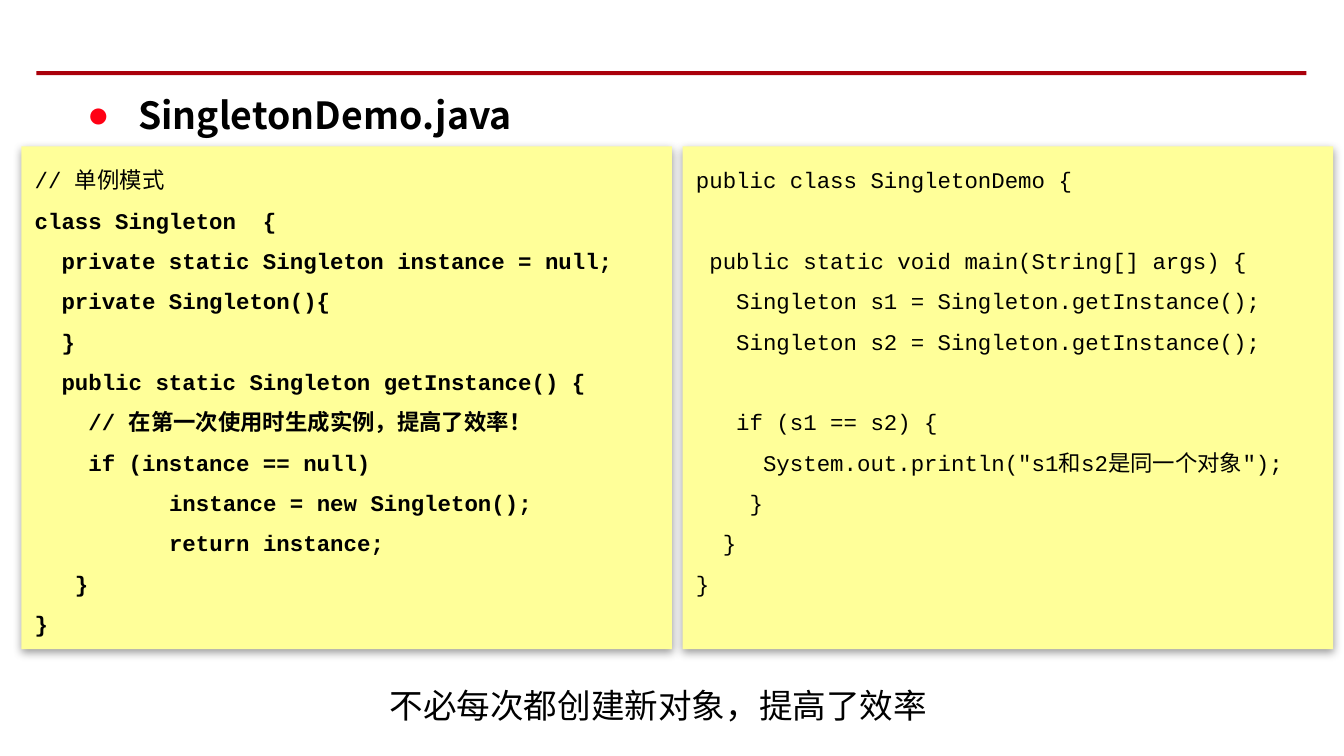
from dataclasses import dataclass

from lxml import etree
from pptx import Presentation
from pptx import util as u
from pptx.dml.color import RGBColor
from pptx.enum import shapes, text
from pptx.oxml import ns


@dataclass(frozen=True)
class Theme:
    """Colours, fonts and type sizes of the slide."""
    rule: str = "AA000B"
    bullet: str = "FF0014"
    panel: str = "FFFF99"
    ink: str = "000000"
    title_font: str = "Noto Sans CJK SC"
    code_font: str = "Courier New"
    note_font: str = "Calibri"
    title_size: int = 20
    code_size: int = 12
    note_size: int = 18


THEME = Theme()

SINGLETON_CODE = """// 单例模式
class Singleton  {
  private static Singleton instance = null;
  private Singleton(){
  }
  public static Singleton getInstance() {
    // 在第一次使用时生成实例，提高了效率！
    if (instance == null)
\tinstance = new Singleton();
\treturn instance;
   }
}"""

DEMO_CODE = """public class SingletonDemo {

 public static void main(String[] args) {
   Singleton s1 = Singleton.getInstance();
   Singleton s2 = Singleton.getInstance();

   if (s1 == s2) {
     System.out.println("s1和s2是同一个对象");
    }
  }
}"""


def add_child(parent, tag, **attributes):
    """Append a DrawingML element to a parent and return it."""
    return etree.SubElement(parent, ns.qn(tag), attributes)


def write_text(paragraph, content, font, size, bold=False, spacing=1.0):
    """Write one formatted line into a paragraph."""
    paragraph.alignment = text.PP_ALIGN.LEFT
    paragraph.line_spacing = spacing
    if not content:
        add_child(paragraph._p, "a:endParaRPr", sz=str(size * 100))
        return
    run = paragraph.add_run()
    run.text = content
    run.font.name = font
    run.font.size = u.Pt(size)
    run.font.bold = bold
    run.font.color.rgb = RGBColor.from_string(THEME.ink)
    add_child(run._r.get_or_add_rPr(), "a:ea", typeface=THEME.title_font)


def add_box(slide, box, color):
    """Add a plain filled rectangle without an outline."""
    shape = slide.shapes.add_shape(
        shapes.MSO_SHAPE.RECTANGLE, *map(u.Inches, box))
    shape.fill.solid()
    shape.fill.fore_color.rgb = RGBColor.from_string(color)
    shape.line.fill.background()
    shape.shadow.inherit = False
    return shape


def add_heading(slide, box):
    """Add the bulleted file name."""
    frame = slide.shapes.add_textbox(*map(u.Inches, box)).text_frame
    frame.word_wrap = True
    paragraph = frame.paragraphs[0]
    properties = paragraph._p.get_or_add_pPr()
    properties.set("marL", str(u.Inches(0.38)))
    properties.set("indent", str(-u.Inches(0.38)))
    color = add_child(properties, "a:buClr")
    add_child(color, "a:srgbClr", val=THEME.bullet)
    add_child(properties, "a:buFont", typeface="Arial")
    add_child(properties, "a:buChar", char="●")
    write_text(paragraph, "SingletonDemo.java", THEME.title_font,
               THEME.title_size, bold=True, spacing=1.5)


def add_panel_shadow(shape):
    """Give a panel a soft shadow that falls downwards."""
    effects = shape._element.spPr.find(ns.qn("a:effectLst"))
    shadow = add_child(effects, "a:outerShdw", blurRad=str(u.Pt(5)),
                       dist=str(u.Pt(1.6)), dir="5400000", rotWithShape="0")
    color = add_child(shadow, "a:srgbClr", val=THEME.ink)
    add_child(color, "a:alpha", val="38000")


def add_code_panel(slide, box, code, bold_from=None):
    """Add a code panel whose lines are bold from a given index on."""
    panel = add_box(slide, box, THEME.panel)
    add_panel_shadow(panel)
    frame = panel.text_frame
    frame.word_wrap = True
    frame.vertical_anchor = text.MSO_ANCHOR.TOP
    for index, line in enumerate(code.split("\n")):
        paragraph = frame.add_paragraph() if index else frame.paragraphs[0]
        if line.startswith("\t"):
            stops = add_child(paragraph._p.get_or_add_pPr(), "a:tabLst")
            add_child(stops, "a:tab", pos=str(u.Inches(1)), algn="l")
        bold = bold_from is not None and index >= bold_from
        write_text(paragraph, line, THEME.code_font, THEME.code_size,
                   bold=bold, spacing=1.5)


def add_note(slide, box):
    """Add the closing remark below the panels."""
    frame = slide.shapes.add_textbox(*map(u.Inches, box)).text_frame
    frame.word_wrap = False
    write_text(frame.paragraphs[0], "不必每次都创建新对象，提高了效率",
               THEME.note_font, THEME.note_size)


def build_code_slide(presentation):
    """Build the slide with two code panels side by side."""
    slide = presentation.slides.add_slide(presentation.slide_layouts[6])
    add_box(slide, (0.27, 0.53, 9.45, 0.03), THEME.rule)
    add_heading(slide, (0.55, 0.47, 8.98, 0.7))
    left, top, width, height, gap = 0.16, 1.09, 4.84, 3.74, 0.08
    add_code_panel(slide, (left, top, width, height), SINGLETON_CODE,
                   bold_from=1)
    add_code_panel(slide, (left + width + gap, top, width, height), DEMO_CODE)
    add_note(slide, (2.8, 5.05, 4.4, 0.4))


def main():
    """Create and save the presentation in the 16:9 format."""
    presentation = Presentation()
    presentation.slide_width = u.Inches(10)
    presentation.slide_height = presentation.slide_width * 9 // 16
    build_code_slide(presentation)
    presentation.save("out.pptx")


if __name__ == "__main__":
    main()
